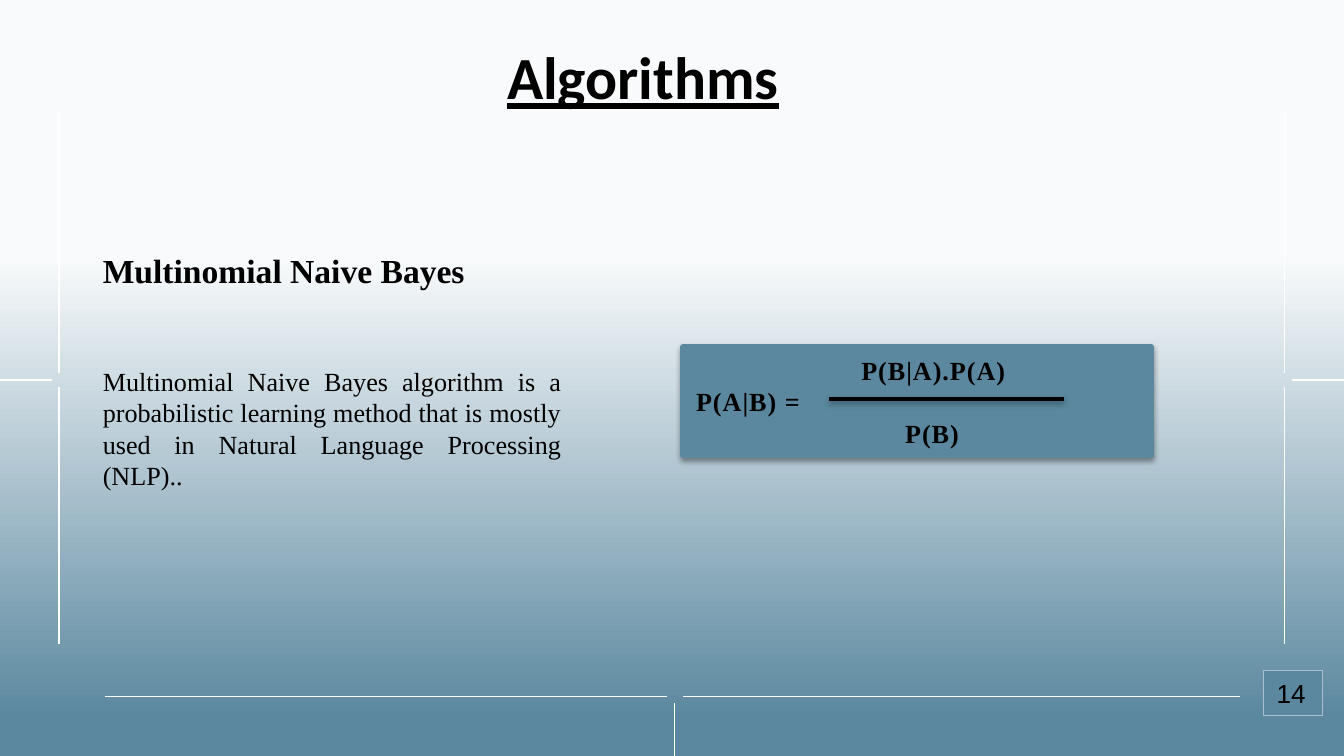
from dataclasses import dataclass

from lxml import etree
from copy import deepcopy
from pptx import Presentation
from pptx.dml.color import RGBColor
from pptx.enum.shapes import MSO_CONNECTOR, MSO_SHAPE
from pptx.enum.text import MSO_ANCHOR, PP_ALIGN
from pptx.oxml.ns import qn
from pptx.util import Pt

LEFT, CENTER, JUSTIFY = PP_ALIGN.LEFT, PP_ALIGN.CENTER, PP_ALIGN.JUSTIFY
MIDDLE, TOP = MSO_ANCHOR.MIDDLE, MSO_ANCHOR.TOP
STRAIGHT, RECTANGLE = MSO_CONNECTOR.STRAIGHT, MSO_SHAPE.RECTANGLE

WIDTH, HEIGHT = 720, 405


@dataclass(frozen=True)
class Theme:
    ink: str = "000000"
    white: str = "FFFFFF"
    accent: str = "5B889F"
    number_border: str = "A9C1CE"
    background: tuple = ((0.05, "5B889F"), (0.66, "F8FAFB"), (1.0, "FBFCFD"))
    title_font: str = "Calibri"
    body_font: str = "Times New Roman"
    number_font: str = "Arial"
    title_size: float = 32
    heading_size: float = 18
    body_size: float = 14


THEME = Theme()


@dataclass(frozen=True)
class TextStyle:
    font: str
    size: float
    bold: bool = False
    underline: bool = False
    align: PP_ALIGN = LEFT
    spacing: float = 0


@dataclass(frozen=True)
class Box:
    left: float
    top: float
    width: float
    height: float


@dataclass(frozen=True)
class Rule:
    x1: float
    y1: float
    x2: float
    y2: float

    def mirrored(self) -> "Rule":
        return Rule(WIDTH - self.x1, self.y1, WIDTH - self.x2, self.y2)


@dataclass(frozen=True)
class Line:
    text: str
    indent: float = 0


def rgb(value: str) -> RGBColor:
    return RGBColor.from_string(value)


def set_shadow(shape, visible: bool) -> None:
    """Give the shape a soft downward shadow, or an empty effect list."""
    properties = shape._element.spPr
    for old in properties.findall(qn("a:effectLst")):
        properties.remove(old)
    effects = etree.SubElement(properties, qn("a:effectLst"))
    if visible:
        shadow = etree.SubElement(effects, qn("a:outerShdw"), blurRad=str(Pt(3.1)),
                                  dist=str(Pt(1.6)), dir="5400000", rotWithShape="0")
        color = etree.SubElement(shadow, qn("a:srgbClr"), val=THEME.ink)
        etree.SubElement(color, qn("a:alpha"), val="38000")


def paint_background(slide) -> None:
    fill = slide.background.fill
    fill.gradient()
    fill.gradient_angle = 90
    stop_list = slide.element.find(".//" + qn("a:gsLst"))
    stop_list.append(deepcopy(stop_list[-1]))
    for stop, (position, color) in zip(fill.gradient_stops, THEME.background):
        stop.position = position
        stop.color.rgb = rgb(color)


def draw_rule(slide, rule: Rule, color: str, weight: float, shadow: bool = False) -> None:
    connector = slide.shapes.add_connector(
        STRAIGHT, Pt(rule.x1), Pt(rule.y1), Pt(rule.x2), Pt(rule.y2))
    connector.line.color.rgb = rgb(color)
    connector.line.width = Pt(weight)
    set_shadow(connector, shadow)


def write(shape, lines: list[Line], style: TextStyle, anchor: MSO_ANCHOR) -> None:
    frame = shape.text_frame
    frame.word_wrap = True
    frame.vertical_anchor = anchor
    frame.text = "\n".join(line.text for line in lines)
    for paragraph, line in zip(frame.paragraphs, lines):
        paragraph.alignment = style.align
        if line.indent:
            paragraph._p.get_or_add_pPr().set("marL", str(Pt(line.indent)))
        for run in paragraph.runs:
            run.font.name = style.font
            run.font.size = Pt(style.size)
            run.font.bold = style.bold
            run.font.underline = style.underline
            run.font.color.rgb = rgb(THEME.ink)
            if style.spacing:
                run.font._element.set("spc", str(round(style.spacing * 100)))


def draw_text(slide, box: Box, text: str, style: TextStyle) -> None:
    shape = slide.shapes.add_textbox(Pt(box.left), Pt(box.top), Pt(box.width), Pt(box.height))
    write(shape, [Line(text)], style, TOP)


def draw_panel(slide, box: Box, border: str, weight: float, lines: list[Line],
               style: TextStyle, shadow: bool = False) -> None:
    panel = slide.shapes.add_shape(
        RECTANGLE, Pt(box.left), Pt(box.top), Pt(box.width), Pt(box.height))
    panel.fill.solid()
    panel.fill.fore_color.rgb = rgb(THEME.accent)
    panel.line.color.rgb = rgb(border)
    panel.line.width = Pt(weight)
    set_shadow(panel, shadow)
    write(panel, lines, style, MIDDLE)


def draw_frame(slide) -> None:
    left_side = [
        Rule(31.7, 60, 31.7, 200),
        Rule(31.7, 207.4, 31.7, 345),
        Rule(28, 203.6, 0, 203.6),
    ]
    bottom = [
        Rule(56, 373, 357.5, 373),
        Rule(366, 373, 664.5, 373),
        Rule(361.2, 376.5, 361.2, HEIGHT),
    ]
    for rule in left_side + [rule.mirrored() for rule in left_side] + bottom:
        draw_rule(slide, rule, THEME.white, 0.75)


def main() -> None:
    presentation = Presentation()
    presentation.slide_width, presentation.slide_height = Pt(WIDTH), Pt(HEIGHT)
    slide = presentation.slides.add_slide(presentation.slide_layouts[6])
    paint_background(slide)
    draw_frame(slide)

    title = TextStyle(THEME.title_font, THEME.title_size, bold=True, underline=True, align=CENTER)
    heading = TextStyle(THEME.body_font, THEME.heading_size, bold=True)
    body = TextStyle(THEME.body_font, THEME.body_size, align=JUSTIFY)
    formula = TextStyle(THEME.body_font, THEME.body_size, bold=True, spacing=0.5)
    number = TextStyle(THEME.number_font, THEME.body_size)

    draw_text(slide, Box(164, 18, 361, 46), "Algorithms", title)
    draw_text(slide, Box(48, 130.3, 246, 29), "Multinomial Naive Bayes", heading)
    draw_text(slide, Box(48, 192.2, 260, 75),
              "Multinomial Naive Bayes algorithm is a probabilistic learning method "
              "that is mostly used in Natural Language Processing (NLP)..", body)

    bayes_rule = [Line("P(B|A).P(A)", 88.5), Line("P(A|B) ="), Line("P(B)", 112)]
    draw_panel(slide, Box(365.8, 186, 251, 58), THEME.accent, 3, bayes_rule, formula, shadow=True)
    draw_rule(slide, Rule(444, 213.6, 570, 213.6), THEME.ink, 2, shadow=True)
    draw_panel(slide, Box(676.8, 359.2, 31.7, 24.2), THEME.number_border, 0.75,
               [Line("14")], number)

    presentation.save("out.pptx")


if __name__ == "__main__":
    main()
